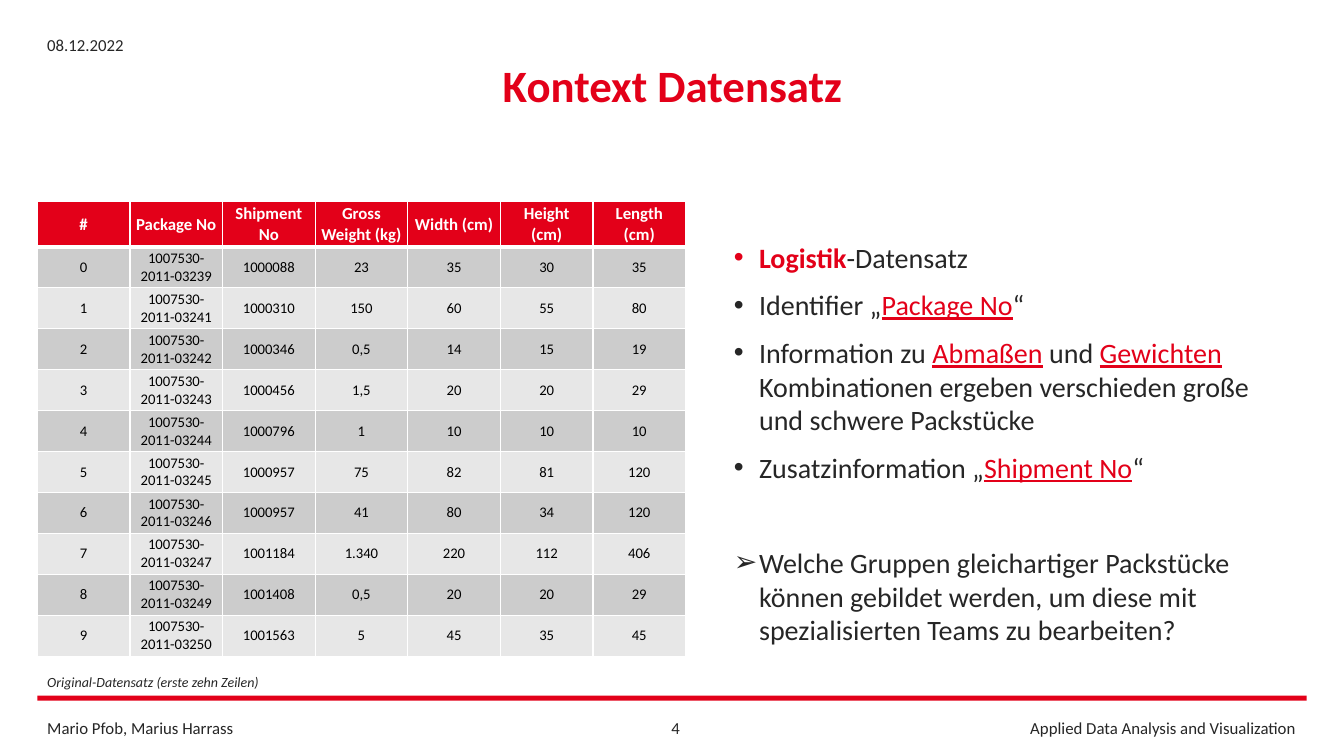
from lxml import etree
from pptx import Presentation
from pptx.dml.color import RGBColor
from pptx.enum import shapes, text
from pptx.oxml import ns
from pptx.util import Inches, Pt

FONT = "Calibri"
COLORS = {
    "red": "E30019",
    "ink": "262626",
    "black": "000000",
    "white": "FFFFFF",
    "dark_band": "CCCCCC",
    "light_band": "E7E7E7",
}
LEFT = 0.37
CENTER = text.PP_ALIGN.CENTER
KEYWORD = {"color": "red", "underline": True}

HEADERS = ["#", "Package No", "Shipment No", "Gross Weight (kg)",
           "Width (cm)", "Height (cm)", "Length (cm)"]
PACKAGES = [
    ("03239", "1000088", "23", "35", "30", "35"),
    ("03241", "1000310", "150", "60", "55", "80"),
    ("03242", "1000346", "0,5", "14", "15", "19"),
    ("03243", "1000456", "1,5", "20", "20", "29"),
    ("03244", "1000796", "1", "10", "10", "10"),
    ("03245", "1000957", "75", "82", "81", "120"),
    ("03246", "1000957", "41", "80", "34", "120"),
    ("03247", "1001184", "1.340", "220", "112", "406"),
    ("03249", "1001408", "0,5", "20", "20", "29"),
    ("03250", "1001563", "5", "45", "35", "45"),
]
POINTS = [
    ("•", 10, 2, [("Logistik", {"color": "red", "bold": True}), ("-Datensatz", {})]),
    ("•", 10, 1, [("Identifier „", {}), ("Package No", KEYWORD), ("“", {})]),
    ("•", 10, 1, [("Information zu ", {}), ("Abmaßen", KEYWORD), (" und ", {}),
                  ("Gewichten", KEYWORD), ("\n", {}),
                  ("Kombinationen ergeben verschieden große und schwere Packstücke", {})]),
    ("•", 10, 1, [("Zusatzinformation „", {}), ("Shipment No", KEYWORD), ("“", {})]),
    ("➢", 44, 1, [("Welche Gruppen gleichartiger Packstücke können gebildet werden, "
                   "um diese mit spezialisierten Teams zu bearbeiten?", {})]),
]


def rgb(color):
    return RGBColor.from_string(COLORS[color])


def write(para, words, size=12, color="ink", bold=False, italic=False, underline=False):
    span = para.add_run()
    span.text = words
    font = span.font
    font.name, font.size = FONT, Pt(size)
    font.bold, font.italic, font.underline = bold, italic, underline
    font.color.rgb = rgb(color)


def add_box(page, left, top, width, height, wrap=True):
    box = page.shapes.add_textbox(Inches(left), Inches(top), Inches(width), Inches(height))
    box.text_frame.word_wrap = wrap
    return box.text_frame


def add_label(page, words, left, top, width, height=0.3, align=None, **style):
    frame = add_box(page, left, top, width, height, wrap=False)
    frame.auto_size = text.MSO_AUTO_SIZE.SHAPE_TO_FIT_TEXT
    para = frame.paragraphs[0]
    para.alignment = align
    write(para, words, **style)


def add_title(page, words):
    frame = add_box(page, 1.16, 0.6, 11.02, 0.57)
    frame.vertical_anchor = text.MSO_ANCHOR.MIDDLE
    para = frame.paragraphs[0]
    para.alignment = CENTER
    para.line_spacing = 0.8
    write(para, words, size=32, color="red", bold=True)


def add_rule(page):
    rule = page.shapes.add_shape(shapes.MSO_SHAPE.RECTANGLE, Inches(LEFT), Inches(6.9),
                                 Inches(12.59), Inches(0.05))
    rule.shadow.inherit = False
    rule.fill.solid()
    rule.fill.fore_color.rgb = rgb("red")
    rule.line.fill.background()


def set_bullet(para, mark):
    props = para._p.get_or_add_pPr()
    props.set("marL", str(Inches(0.25)))
    props.set("indent", str(Inches(-0.25)))
    etree.SubElement(props, ns.qn("a:buFont"), typeface="Arial")
    etree.SubElement(props, ns.qn("a:buChar"), char=mark)


def add_points(page):
    frame = add_box(page, 7.18, 2, 5.68, 4.65)
    for index, (mark, gap, spacing, spans) in enumerate(POINTS):
        para = frame.add_paragraph() if index else frame.paragraphs[0]
        para.space_before = Pt(gap)
        para.line_spacing = float(spacing)
        set_bullet(para, mark)
        for words, style in spans:
            if words == "\n":
                para.add_line_break()
            else:
                write(para, words, size=20, **style)


def set_borders(cell, **widths):
    props = cell._tc.get_or_add_tcPr()
    for side in "LRTB":
        line = etree.SubElement(props, ns.qn("a:ln" + side), w=str(Pt(widths.get(side, 1))))
        fill = etree.SubElement(line, ns.qn("a:solidFill"))
        etree.SubElement(fill, ns.qn("a:srgbClr"), val=COLORS["white"])


def fill_cell(cell, words, fill, borders, **style):
    set_borders(cell, **borders)
    cell.fill.solid()
    cell.fill.fore_color.rgb = rgb(fill)
    cell.vertical_anchor = text.MSO_ANCHOR.MIDDLE
    cell.margin_left = cell.margin_right = Inches(0.06)
    cell.margin_top = cell.margin_bottom = Inches(0.02)
    para = cell.text_frame.paragraphs[0]
    para.alignment = CENTER
    write(para, words, **style)


def add_package_table(page):
    width, height, header_height = 6.43, 4.51, 0.45
    rows = [HEADERS] + [
        (str(number), "1007530-2011-" + package, *values)
        for number, (package, *values) in enumerate(PACKAGES)
    ]
    table = page.shapes.add_table(len(rows), len(HEADERS), Inches(LEFT), Inches(2),
                                  Inches(width), Inches(height)).table
    for index, row in enumerate(rows):
        if index == 0:
            row_height, fill, borders = header_height, "red", {"B": 3}
            style = {"size": 12, "color": "white", "bold": True}
        else:
            row_height = (height - header_height) / len(PACKAGES)
            fill = "dark_band" if index % 2 else "light_band"
            borders = {"T": 3} if index == 1 else {}
            style = {"size": 10.5, "color": "black"}
        table.rows[index].height = Inches(row_height)
        for column, words in enumerate(row):
            fill_cell(table.cell(index, column), words, fill, borders, **style)


def main():
    deck = Presentation()
    deck.slide_width, deck.slide_height = Inches(13.33), Inches(7.5)
    page = deck.slides.add_slide(deck.slide_layouts[6])
    add_title(page, "Kontext Datensatz")
    add_label(page, "Mario Pfob, Marius Harrass", LEFT, 7.07, 2.07)
    add_label(page, "4", 6.56, 7.07, 0.22, align=CENTER)
    add_label(page, "Applied Data Analysis and Visualization", 10.12, 7.07, 2.84)
    add_rule(page)
    add_label(page, "08.12.2022", LEFT, 0.3, 0.98)
    add_points(page)
    add_package_table(page)
    add_label(page, "Original-Datensatz (erste zehn Zeilen)", LEFT, 6.63, 2.4, 0.27,
              size=10, italic=True)
    deck.save("out.pptx")


if __name__ == "__main__":
    main()
